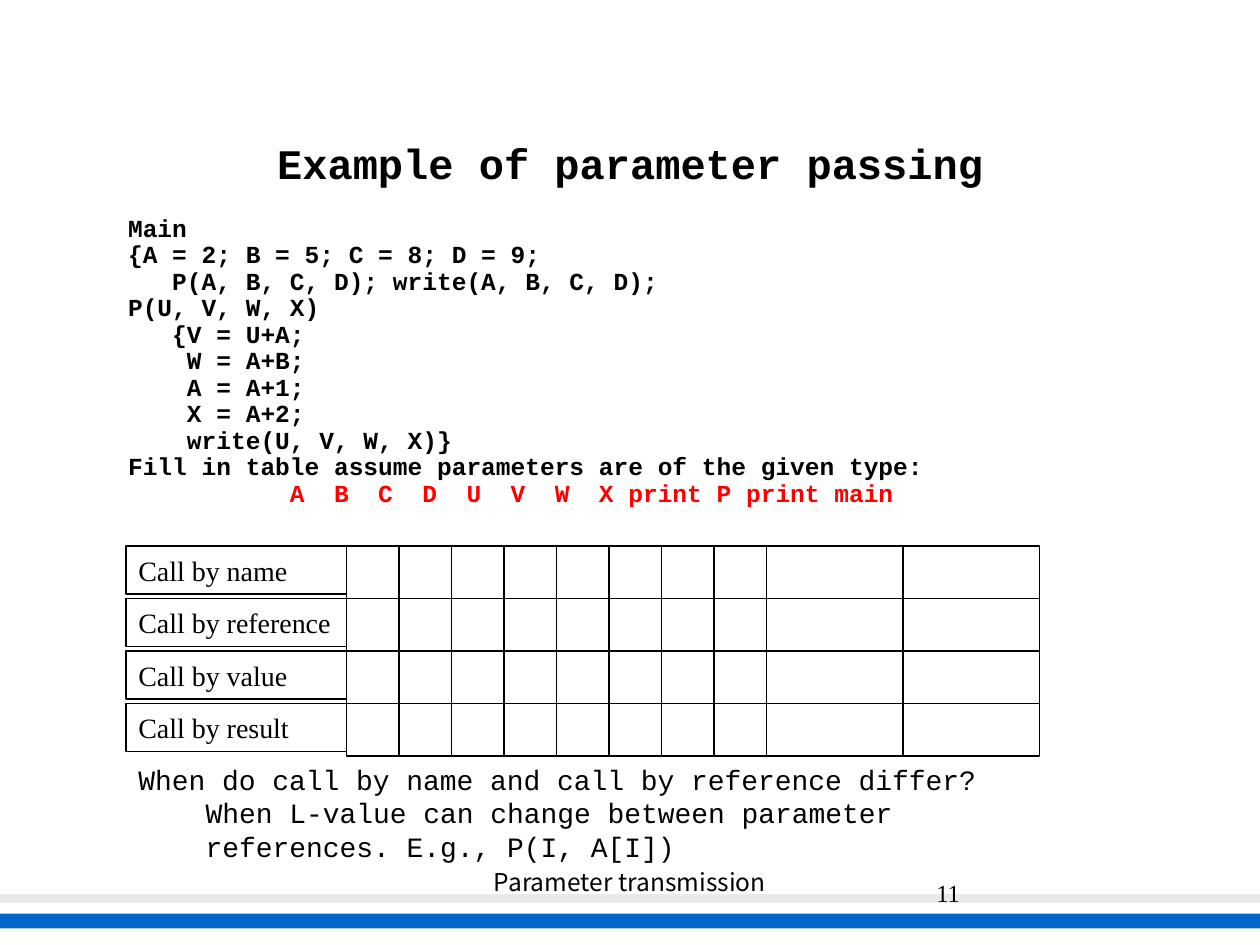
import pptx
import pptx.util
import pptx.dml.color
import pptx.enum.shapes
import pptx.enum.text
import pptx.oxml.ns
from lxml import etree

Pt = pptx.util.Pt
ALIGN = pptx.enum.text.PP_ALIGN
ANCHOR = pptx.enum.text.MSO_ANCHOR

MONO, SERIF, SANS = "Courier New", "Times New Roman", "Noto Sans CJK KR"
BLACK, RED, BLUE, GRAY = "000000", "FF0000", "0066CC", "EAEAEA"

TITLE = "Example of parameter passing"
CODE = [
    "Main",
    "{A = 2; B = 5; C = 8; D = 9;",
    "   P(A, B, C, D); write(A, B, C, D);",
    "P(U, V, W, X)",
    "   {V = U+A;",
    "    W = A+B;",
    "    A = A+1;",
    "    X = A+2;",
    "    write(U, V, W, X)}",
    "Fill in table assume parameters are of the given type:",
]
COLUMN_HEADS = "           A  B  C  D  U  V  W  X print P print main"
CALL_TYPES = ["Call by name", "Call by reference", "Call by value", "Call by result"]
COLUMN_WIDTHS = [30] * 8 + [78] * 2
QUESTION = "When do call by name and call by reference differ?"
ANSWER = ["When L-value can change between parameter",
          "references. E.g., P(I, A[I])"]
FOOTER, PAGE = "Parameter transmission", "11"

GRID_LEFT, GRID_TOP, ROW_HEIGHT = 198, 312, 30
LABEL_WIDTH, LABEL_HEIGHT = 126, 27.4


def rgb(color):
    return pptx.dml.color.RGBColor.from_string(color)


def place(sp, left, top, width, height):
    sp.left, sp.top, sp.width, sp.height = Pt(left), Pt(top), Pt(width), Pt(height)


def style(p, size, name, color=BLACK, bold=False, align=ALIGN.LEFT):
    p.alignment = align
    for r in p.runs:
        r.font.size, r.font.name, r.font.bold = Pt(size), name, bold
        r.font.color.rgb = rgb(color)


def indent(p, left, first=0):
    pPr = p._p.get_or_add_pPr()
    pPr.set("marL", str(Pt(left)))
    pPr.set("indent", str(Pt(first)))
    return pPr


def add_rect(s, left, top, width, height, fill=None, line=None):
    sp = s.shapes.add_shape(pptx.enum.shapes.MSO_SHAPE.RECTANGLE,
                            Pt(left), Pt(top), Pt(width), Pt(height))
    sp.shadow.inherit = False
    if fill:
        sp.fill.solid()
        sp.fill.fore_color.rgb = rgb(fill)
    else:
        sp.fill.background()
    if line:
        sp.line.color.rgb = rgb(BLACK)
        sp.line.width = Pt(line)
    else:
        sp.line.fill.background()
    return sp


def add_text(s, left, top, width, height, text):
    tf = s.shapes.add_textbox(Pt(left), Pt(top), Pt(width), Pt(height)).text_frame
    tf.word_wrap = True
    tf.text = text
    return tf


prs = pptx.Presentation()
prs.slide_width, prs.slide_height = Pt(720), Pt(540)
s = prs.slides.add_slide(prs.slide_layouts[1])

# Footer bars, footer and page number
add_rect(s, 0, 522, 720, 8.6, fill=BLUE)
add_rect(s, 0, 511, 720, 5, fill=GRAY)
tf = add_text(s, 246, 492, 228, 36, FOOTER)
style(tf.paragraphs[0], 14, SANS, align=ALIGN.CENTER)
tf = add_text(s, 528, 498, 150, 36, PAGE)
style(tf.paragraphs[0], 14, SERIF)

# Title and code
title, body = s.placeholders
place(title, 54, 48, 612, 90)
title.text_frame.text = TITLE
title.text_frame.vertical_anchor = ANCHOR.MIDDLE
style(title.text_frame.paragraphs[0], 24, MONO, bold=True, align=ALIGN.CENTER)

place(body, 66, 120, 618, 174)
body.text_frame.text = "\n".join(CODE + [COLUMN_HEADS])
for p in body.text_frame.paragraphs:
    pPr = indent(p, 27, -27)
    etree.SubElement(pPr, pptx.oxml.ns.qn("a:buNone"))
    p.line_spacing = 0.9
    p.space_before = Pt(0)
    style(p, 14, MONO, RED if p.text == COLUMN_HEADS else BLACK, bold=True)

# Answer grid
for row, call_type in enumerate(CALL_TYPES):
    top = GRID_TOP + row * ROW_HEIGHT
    label = add_rect(s, GRID_LEFT - LABEL_WIDTH, top, LABEL_WIDTH, LABEL_HEIGHT, line=1)
    label.text_frame.text = call_type
    label.text_frame.vertical_anchor = ANCHOR.MIDDLE
    style(label.text_frame.paragraphs[0], 16, SERIF)
    left = GRID_LEFT
    for width in COLUMN_WIDTHS:
        add_rect(s, left, top, width, ROW_HEIGHT, line=0.75)
        left += width

# Closing question
tf = add_text(s, 72, 432, 540, 65, "\n".join([QUESTION] + ANSWER))
for p in tf.paragraphs:
    indent(p, 0 if p.text == QUESTION else 38.4)
    style(p, 16, MONO)

prs.save("out.pptx")
